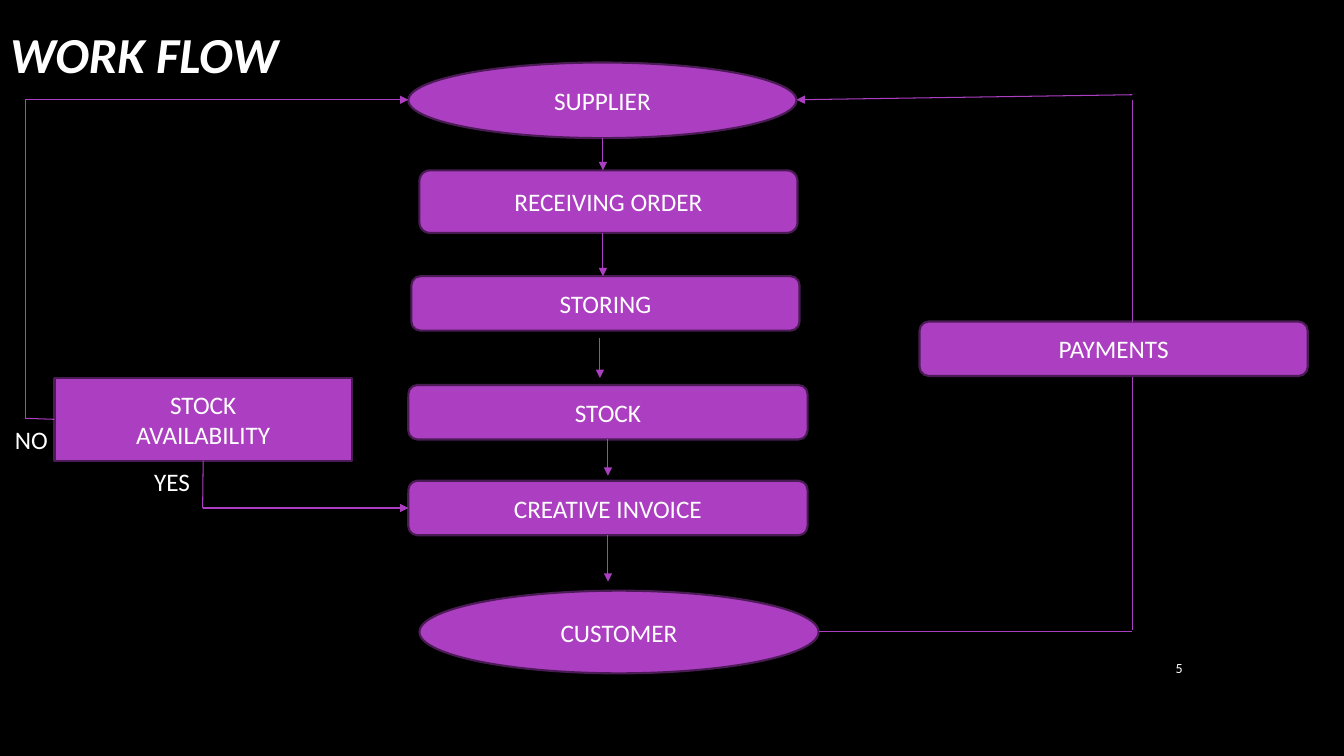
from dataclasses import dataclass

from lxml.etree import SubElement
from pptx import Presentation
from pptx.dml.color import RGBColor
from pptx.enum.shapes import MSO_CONNECTOR, MSO_SHAPE
from pptx.enum.text import MSO_ANCHOR, MSO_AUTO_SIZE, PP_ALIGN
from pptx.oxml.ns import qn
from pptx.util import Inches, Pt


@dataclass(frozen=True)
class Theme:
    back: RGBColor = RGBColor(0, 0, 0)
    fill: RGBColor = RGBColor(0xAC, 0x3E, 0xC1)
    edge: RGBColor = RGBColor(0x4B, 0x1B, 0x55)
    ink: RGBColor = RGBColor(0xFF, 0xFF, 0xFF)
    font: str = "Calibri"
    head: int = 36
    body: int = 18
    small: int = 10


THEME = Theme()
TITLE = "WORK FLOW"
TOP, LEFT, BOTTOM = 0, 1, 2
OVAL, ROUND, RECT = MSO_SHAPE.OVAL, MSO_SHAPE.ROUNDED_RECTANGLE, MSO_SHAPE.RECTANGLE

# name: form, text, (left, top, width, height)
STEPS = {
    "supplier": (OVAL, "SUPPLIER", (4.05, 0.62, 3.85, 0.75)),
    "order": (ROUND, "RECEIVING ORDER", (4.16, 1.69, 3.75, 0.62)),
    "storing": (ROUND, "STORING", (4.08, 2.74, 3.85, 0.54)),
    "stock": (ROUND, "STOCK", (4.05, 3.82, 3.96, 0.54)),
    "invoice": (ROUND, "CREATIVE INVOICE", (4.05, 4.77, 3.96, 0.54)),
    "customer": (OVAL, "CUSTOMER", (4.16, 5.86, 3.96, 0.82)),
    "payments": (ROUND, "PAYMENTS", (9.12, 3.19, 3.85, 0.54)),
    "check": (RECT, "STOCK\nAVAILABILITY", (0.54, 3.75, 2.95, 0.82)),
}

# start, end, arrowhead; an end is a point or a (step, side) joint
LINKS = [
    ((5.98, 1.37), (5.98, 1.69), True),
    ((5.98, 2.31), (5.98, 2.74), True),
    ((5.95, 3.35), (5.95, 3.75), True),
    (("stock", BOTTOM), (6.03, 4.72), True),
    (("invoice", BOTTOM), (6.03, 5.77), True),
    ((8.12, 6.27), (11.23, 6.27), False),
    ((11.23, 6.25), (11.23, 3.74), False),
    ((11.23, 3.19), (11.23, 0.99), False),
    ((11.23, 0.94), (7.9, 0.99), True),
    (("check", LEFT), (0.25, 4.15), False),
    ((0.25, 4.15), (0.25, 0.99), False),
    ((0.25, 0.99), (4.05, 0.99), True),
    (("check", BOTTOM), (2.01, 5.04), False),
    ((2.01, 5.04), ("invoice", LEFT), True),
]

# text, box, size, alignment, anchor
LABELS = [
    ("NO", (0.05, 4.16, 0.82, 0.4), THEME.body, PP_ALIGN.LEFT, MSO_ANCHOR.TOP),
    ("YES", (1.43, 4.58, 0.62, 0.4), THEME.body, PP_ALIGN.LEFT, MSO_ANCHOR.TOP),
    ("5", (11.23, 6.42, 0.6, 0.41), THEME.small, PP_ALIGN.RIGHT, MSO_ANCHOR.MIDDLE),
]


def write(shape, text, size, align, anchor, strong=False):
    frame = shape.text_frame
    frame.text = text
    frame.word_wrap = True
    frame.auto_size = MSO_AUTO_SIZE.NONE
    frame.vertical_anchor = anchor
    for line in frame.paragraphs:
        line.alignment = align
        for run in line.runs:
            font = run.font
            font.name, font.size = THEME.font, Pt(size)
            font.bold = font.italic = strong
            font.color.rgb = THEME.ink


def add_step(slide, form, text, box):
    shape = slide.shapes.add_shape(form, *map(Inches, box))
    shape.shadow.inherit = False
    shape.fill.solid()
    shape.fill.fore_color.rgb = THEME.fill
    shape.line.color.rgb = THEME.edge
    shape.line.width = Pt(1.5)
    write(shape, text, THEME.body, PP_ALIGN.CENTER, MSO_ANCHOR.MIDDLE)
    return shape


def add_link(slide, steps, start, end, arrow):
    joints = [isinstance(tip[0], str) for tip in (start, end)]
    points = [(0, 0) if joint else tip for joint, tip in zip(joints, (start, end))]
    link = slide.shapes.add_connector(
        MSO_CONNECTOR.STRAIGHT, *(Inches(n) for point in points for n in point))
    if joints[0]:
        link.begin_connect(steps[start[0]], start[1])
    if joints[1]:
        link.end_connect(steps[end[0]], end[1])
    link.line.color.rgb = THEME.fill
    link.line.width = Pt(0.75)
    props = link._element.spPr
    if arrow:
        SubElement(props.find(qn("a:ln")), qn("a:tailEnd"), type="triangle")
    SubElement(props, qn("a:effectLst"))


def main():
    deck = Presentation()
    deck.slide_width, deck.slide_height = Inches(13.33), Inches(7.5)
    slide = deck.slides.add_slide(deck.slide_layouts.get_by_name("Title Only"))
    slide.background.fill.solid()
    slide.background.fill.fore_color.rgb = THEME.back

    title = slide.shapes.title
    title.left, title.top, title.width, title.height = map(
        Inches, (0, -0.3, 4.78, 1.18))
    write(title, TITLE, THEME.head, PP_ALIGN.LEFT, MSO_ANCHOR.BOTTOM, strong=True)

    steps = {name: add_step(slide, *step) for name, step in STEPS.items()}
    for link in LINKS:
        add_link(slide, steps, *link)
    for text, box, *style in LABELS:
        write(slide.shapes.add_textbox(*map(Inches, box)), text, *style)
    deck.save("out.pptx")


if __name__ == "__main__":
    main()
